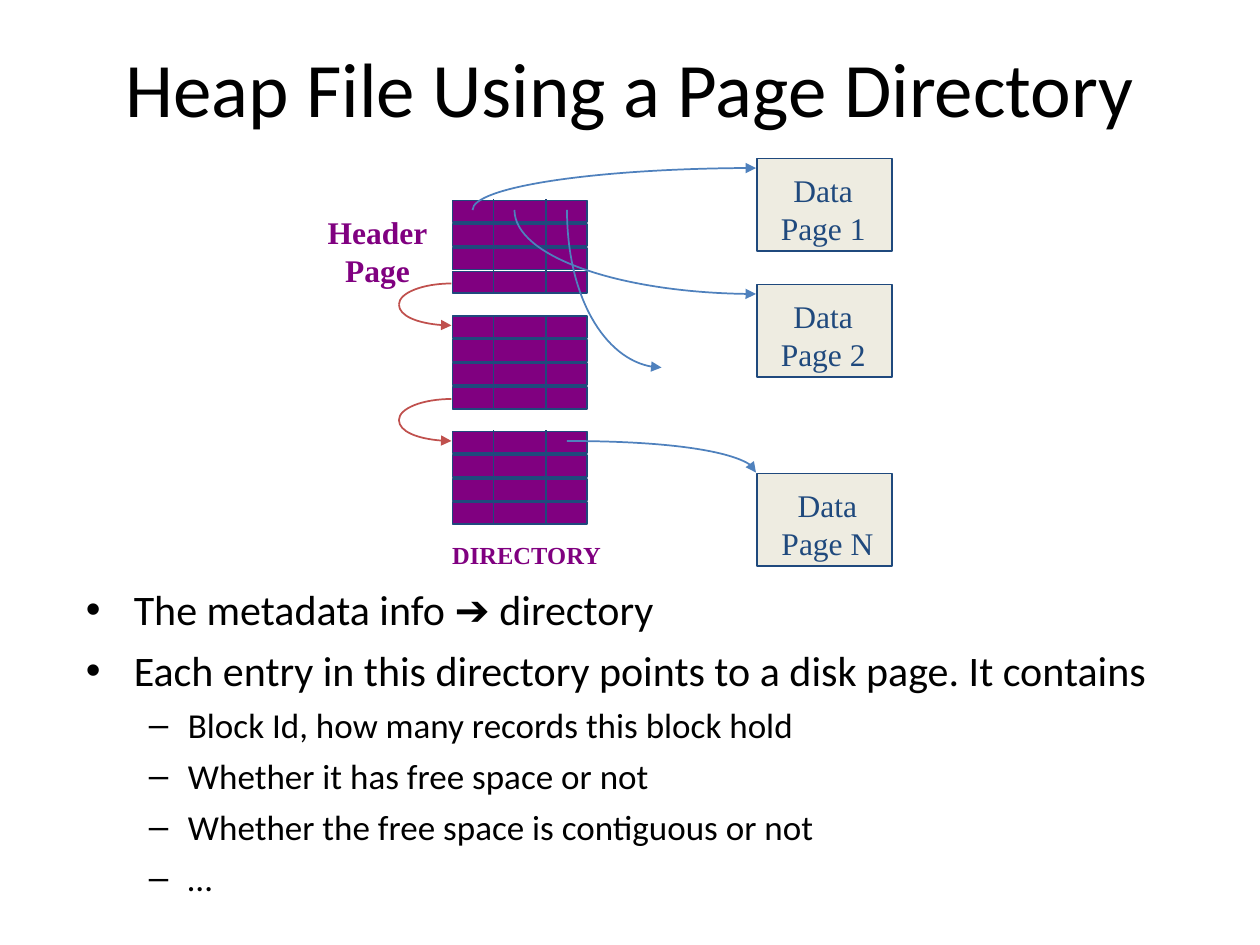
from lxml.etree import SubElement as Sub
from pptx import Presentation
from pptx.dml.color import RGBColor as Rgb
from pptx.enum.shapes import MSO_CONNECTOR as Link, MSO_SHAPE as Kind
from pptx.enum.text import MSO_ANCHOR as Anchor, PP_ALIGN as Align
from pptx.oxml.ns import qn
from pptx.util import Inches, Pt

COLORS = {
    "black": "000000",
    "purple": "800080",
    "navy": "1F497D",
    "cream": "EEECE1",
    "red": "C0504D",
    "blue": "4F81BD",
}
SANS, SERIF = "Calibri", "Times New Roman"
COLS, ROWS = 120, 90
BEND = 0.55


class Page:
    def __init__(self, deck):
        self.wide = deck.slide_width / COLS
        self.high = deck.slide_height / ROWS
        self.slide = deck.slides.add_slide(deck.slide_layouts[6])
        self.shapes = self.slide.shapes

    def grid(self, *nums):
        units = (self.wide, self.high) * 2
        return [round(num * unit) for num, unit in zip(nums, units)]

    def color(self, name):
        return Rgb.from_string(COLORS[name])

    def stroke(self, shape, name):
        shape.line.color.rgb = self.color(name)
        shape.line.width = Pt(1)

    def box(self, area, fill):
        shape = self.shapes.add_shape(Kind.RECTANGLE, *self.grid(*area))
        shape.shadow.inherit = False
        shape.fill.solid()
        shape.fill.fore_color.rgb = self.color(fill)
        self.stroke(shape, "navy")

    def rule(self, col, top, end):
        line = self.shapes.add_connector(
            Link.STRAIGHT, *self.grid(col, top, col, end))
        Sub(line._element.spPr, qn("a:effectLst"))
        self.stroke(line, "navy")

    def curve(self, start, end, name, arrow=True, flat=False):
        (x, y), (right, low) = start, end
        dx, dy = BEND * (right - x), BEND * (low - y)
        if flat:
            bends = [(x + dx, y), (right, low - dy)]
        else:
            bends = [(x, y + dy), (right - dx, low)]
        pen = self.shapes.build_freeform(*self.grid(x, y))
        pen.add_line_segments(
            [self.grid(*spot) for spot in bends + [end]], close=False)
        shape = pen.convert_to_shape()
        shape.shadow.inherit = False
        shape.fill.background()
        self.stroke(shape, name)
        steps = list(shape._element.iter(qn("a:lnTo")))
        arc = Sub(steps[0].getparent(), qn("a:cubicBezTo"))
        for step in steps:
            arc.append(step[0])
            step.getparent().remove(step)
        if arrow:
            Sub(shape.line._get_or_add_ln(), qn("a:tailEnd"), type="triangle")

    def frame(self, area, wrap=True):
        frame = self.shapes.add_textbox(*self.grid(*area)).text_frame
        frame.word_wrap = wrap
        return frame

    def run(self, para, text, size, face, name="black", bold=False):
        run = para.add_run()
        run.text = text
        font = run.font
        font.size, font.name, font.bold = Pt(size), face, bold
        font.color.rgb = self.color(name)

    def label(self, area, lines, size, face, name, bold=False, wrap=False):
        frame = self.frame(area, wrap)
        frame.vertical_anchor = Anchor.MIDDLE if wrap else Anchor.TOP
        for i, text in enumerate(lines):
            para = frame.add_paragraph() if i else frame.paragraphs[0]
            para.alignment = Align.CENTER
            self.run(para, text, size, face, name, bold)

    def list(self, area, items):
        styles = [("•", 24, 6, 0.38, 0.38), ("–", 20, 5, 0.81, 0.31)]
        frame = self.frame(area)
        for i, (level, runs) in enumerate(items):
            mark, size, gap, left, hang = styles[level]
            para = frame.add_paragraph() if i else frame.paragraphs[0]
            para.level = level
            props = para._p.get_or_add_pPr()
            props.set("marL", str(Inches(left)))
            props.set("indent", str(-Inches(hang)))
            para.space_before = Pt(gap if i else 0)
            Sub(props, qn("a:buFont"), typeface="Arial")
            Sub(props, qn("a:buChar"), char=mark)
            for text, face in runs:
                self.run(para, text, size, face)

    def table(self, top):
        for row in range(4):
            self.box((43.1, top + 0.1 + row * 2.25, 12.83, 2.08), "purple")
        for col in (47, 52):
            self.rule(col, top, top + 9)

    def loop(self, mid):
        self.curve((38, mid), (43, mid - 2), "red", arrow=False)
        self.curve((38, mid), (43, mid + 2), "red")


def main():
    deck = Presentation()
    deck.slide_width, deck.slide_height = Inches(10), Inches(7.5)
    page = Page(deck)
    page.label((9, 1, 102, 14.5), ["Heap File Using a Page Directory"],
               44, SANS, "black", wrap=True)
    page.list((7, 55, 105, 33), [
        (0, [("The metadata info ", SANS), ("➔", "Arial"),
             (" directory", SANS)]),
        (0, [("Each entry in this directory points to a disk page. "
              "It contains", SANS)]),
        (1, [("Block Id, how many records this block hold", SANS)]),
        (1, [("Whether it has free space or not", SANS)]),
        (1, [("Whether the free space is contiguous or not", SANS)]),
        (1, [("…", SANS)]),
    ])
    for top in (19, 30, 41):
        page.table(top)
    for top, name, left, width in ((15, "1", 73.1, 10.6),
                                   (27, "2", 73.1, 10.6),
                                   (45, "N", 73.2, 11.2)):
        page.box((72.1, top + 0.1, 12.83, 8.83), "cream")
        page.label((left, top + 0.7, width, 8.4), ["Data", f"Page {name}"],
                   18, SERIF, "navy")
    page.label((30, 19.7, 11.9, 8.4), ["Header", "Page"],
               18, SERIF, "purple", bold=True)
    page.label((41.8, 50.8, 16.7, 4), ["DIRECTORY"],
               14, SERIF, "purple", bold=True)
    for mid in (29, 40):
        page.loop(mid)
    for start, end in (((45, 20), (72, 16)), ((49, 20), (72, 28)),
                       ((54, 20), (63, 35))):
        page.curve(start, end, "blue")
    page.curve((54, 42), (72, 45), "blue", flat=True)
    deck.save("out.pptx")


if __name__ == "__main__":
    main()
